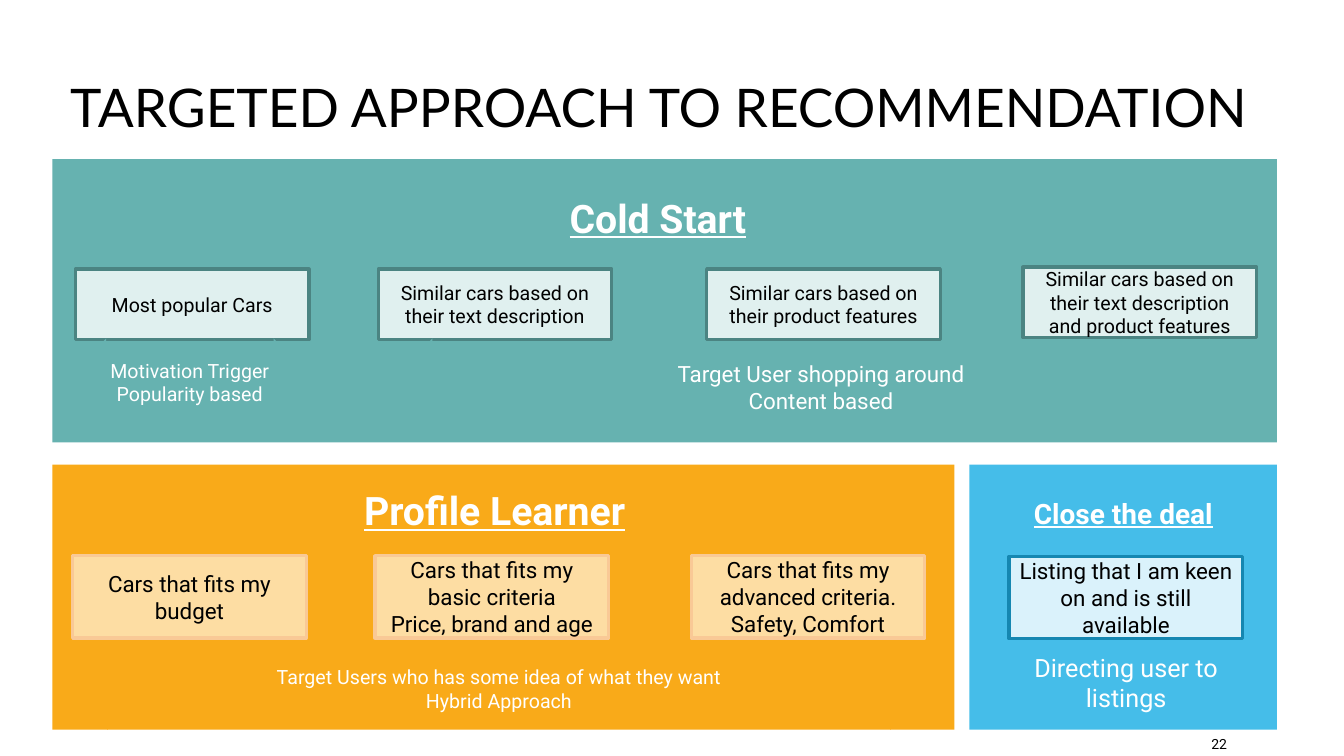
"""Build the slide on a targeted approach to car recommendation."""
from dataclasses import dataclass

from pptx import Presentation
from pptx.dml.color import RGBColor
from pptx.enum.shapes import MSO_SHAPE as Preset
from pptx.enum.text import MSO_ANCHOR as Anchor, PP_ALIGN as Align
from pptx.shapes.autoshape import Shape
from pptx.slide import Slide
from pptx.util import Cm, Pt

WHITE = RGBColor(0xFF, 0xFF, 0xFF)
BLACK = RGBColor(0x00, 0x00, 0x00)
TEAL = RGBColor(0x66, 0xB2, 0xB0)
TEAL_PALE = RGBColor(0xE0, 0xF0, 0xEF)
TEAL_DARK = RGBColor(0x4B, 0x84, 0x82)
ORANGE = RGBColor(0xF9, 0xAA, 0x19)
ORANGE_PALE = RGBColor(0xFD, 0xDD, 0xA3)
ORANGE_EDGE = RGBColor(0xF9, 0xC9, 0x96)
BLUE = RGBColor(0x45, 0xBD, 0xE9)
BLUE_PALE = RGBColor(0xDA, 0xF2, 0xFB)
BLUE_DARK = RGBColor(0x15, 0x87, 0xB1)

CARD_WIDTH = 5.89


@dataclass(frozen=True)
class Box:
    """Place and size in centimetres."""
    left: float
    top: float
    width: float
    height: float

    def lengths(self) -> tuple[Cm, Cm, Cm, Cm]:
        """Return the four lengths for python-pptx."""
        return Cm(self.left), Cm(self.top), Cm(self.width), Cm(self.height)


@dataclass(frozen=True)
class Card:
    """One recommendation within a stage."""
    left: float
    top: float
    lines: tuple[str, ...]


@dataclass(frozen=True)
class Banner:
    """Double arrow that blends into its panel."""
    box: Box
    lines: tuple[str, ...]
    size: int
    heading: bool = False


@dataclass(frozen=True)
class Stage:
    """Coloured panel with its cards and banners."""
    panel: Box
    color: RGBColor
    card_fill: RGBColor
    card_edge: RGBColor
    card_height: float
    card_size: int
    cards: tuple[Card, ...]
    banners: tuple[Banner, ...]


CLOSE_THE_DEAL = Stage(
    Box(24.43, 11.71, 7.75, 6.68), BLUE, BLUE_PALE, BLUE_DARK, 2.08, 16,
    (Card(25.43, 14.02, ("Listing that I am keen on and is still available",)),),
    (Banner(Box(25.2, 12.14, 6.22, 1.57), ("Close the deal",), 20, True),
     Banner(Box(25.27, 16.41, 6.22, 1.57), ("Directing user to listings",), 18)),
)
PROFILE_LEARNER = Stage(
    Box(1.32, 11.71, 22.73, 6.68), ORANGE, ORANGE_PALE, ORANGE_EDGE, 2.08, 16,
    (Card(1.83, 14, ("Cars that fits my budget",)),
     Card(9.45, 14, ("Cars that fits my basic criteria", "Price, brand and age")),
     Card(17.42, 14, ("Cars that fits my advanced criteria.", "Safety, Comfort"))),
    (Banner(Box(1.57, 12.07, 21.79, 1.57), ("Profile Learner",), 28, True),
     Banner(Box(1.68, 16.31, 21.79, 2.08),
            ("Target Users who has some idea of what they want", "Hybrid Approach"), 14)),
)
COLD_START = Stage(
    Box(1.32, 4.01, 30.86, 7.14), TEAL, TEAL_PALE, TEAL_DARK, 1.78, 14,
    (Card(1.9, 6.78, ("Most popular Cars",)),
     Card(9.53, 6.78, ("Similar cars based on their text description",)),
     Card(17.81, 6.78, ("Similar cars based on their product features",)),
     Card(25.78, 6.73,
          ("Similar cars based on their text description and product features",))),
    (Banner(Box(1.57, 4.57, 30.02, 1.83), ("Cold Start",), 28, True),
     Banner(Box(9.68, 8.53, 22.02, 2.44),
            ("Target User shopping around", "Content based"), 16),
     Banner(Box(1.57, 8.53, 6.43, 2.21),
            ("Motivation Trigger", "Popularity based"), 14)),
)


def write(shape: Shape, lines: tuple[str, ...], size: int, color: RGBColor,
          align: Align = Align.CENTER, font: str = "Roboto",
          heading: bool = False, spacing: float = 1.0) -> None:
    """Fill a shape with one paragraph per line."""
    frame = shape.text_frame
    frame.word_wrap = True
    frame.vertical_anchor = Anchor.MIDDLE
    for index, line in enumerate(lines):
        paragraph = frame.add_paragraph() if index else frame.paragraphs[0]
        paragraph.alignment = align
        paragraph.line_spacing = spacing
        run = paragraph.add_run()
        run.text = line
        run.font.name = font
        run.font.size = Pt(size)
        run.font.color.rgb = color
        run.font.bold = heading
        run.font.underline = heading


def draw_shape(slide: Slide, preset: Preset, box: Box, fill: RGBColor,
               edge: RGBColor | None = None) -> Shape:
    """Add a flat preset shape."""
    shape = slide.shapes.add_shape(preset, *box.lengths())
    shape.shadow.inherit = False
    shape.fill.solid()
    shape.fill.fore_color.rgb = fill
    if edge is None:
        shape.line.fill.background()
    else:
        shape.line.color.rgb = edge
        shape.line.width = Pt(2.25)
    return shape


def draw_stage(slide: Slide, stage: Stage) -> None:
    """Draw a panel, then its cards and banners."""
    draw_shape(slide, Preset.RECTANGLE, stage.panel, stage.color)
    for card in stage.cards:
        box = Box(card.left, card.top, CARD_WIDTH, stage.card_height)
        tile = draw_shape(slide, Preset.RECTANGLE, box, stage.card_fill, stage.card_edge)
        write(tile, card.lines, stage.card_size, BLACK)
    for banner in stage.banners:
        arrow = draw_shape(slide, Preset.LEFT_RIGHT_ARROW, banner.box, stage.color)
        write(arrow, banner.lines, banner.size, WHITE, heading=banner.heading)


def main() -> None:
    """Create and save the presentation."""
    deck = Presentation()
    deck.slide_width, deck.slide_height = Cm(33.87), Cm(19.05)
    slide = deck.slides.add_slide(deck.slide_layouts[6])
    for stage in (CLOSE_THE_DEAL, PROFILE_LEARNER, COLD_START):
        draw_stage(slide, stage)
    title = slide.shapes.add_textbox(*Box(1.52, 0.94, 32.82, 3.68).lengths())
    write(title, ("TARGETED APPROACH TO RECOMMENDATION",), 38, BLACK,
          Align.LEFT, "Lato", spacing=0.9)
    page_number = slide.shapes.add_textbox(*Box(23.55, 18.24, 7.62, 1.02).lengths())
    write(page_number, ("22",), 10, BLACK, Align.RIGHT)
    deck.save("out.pptx")


if __name__ == "__main__":
    main()
